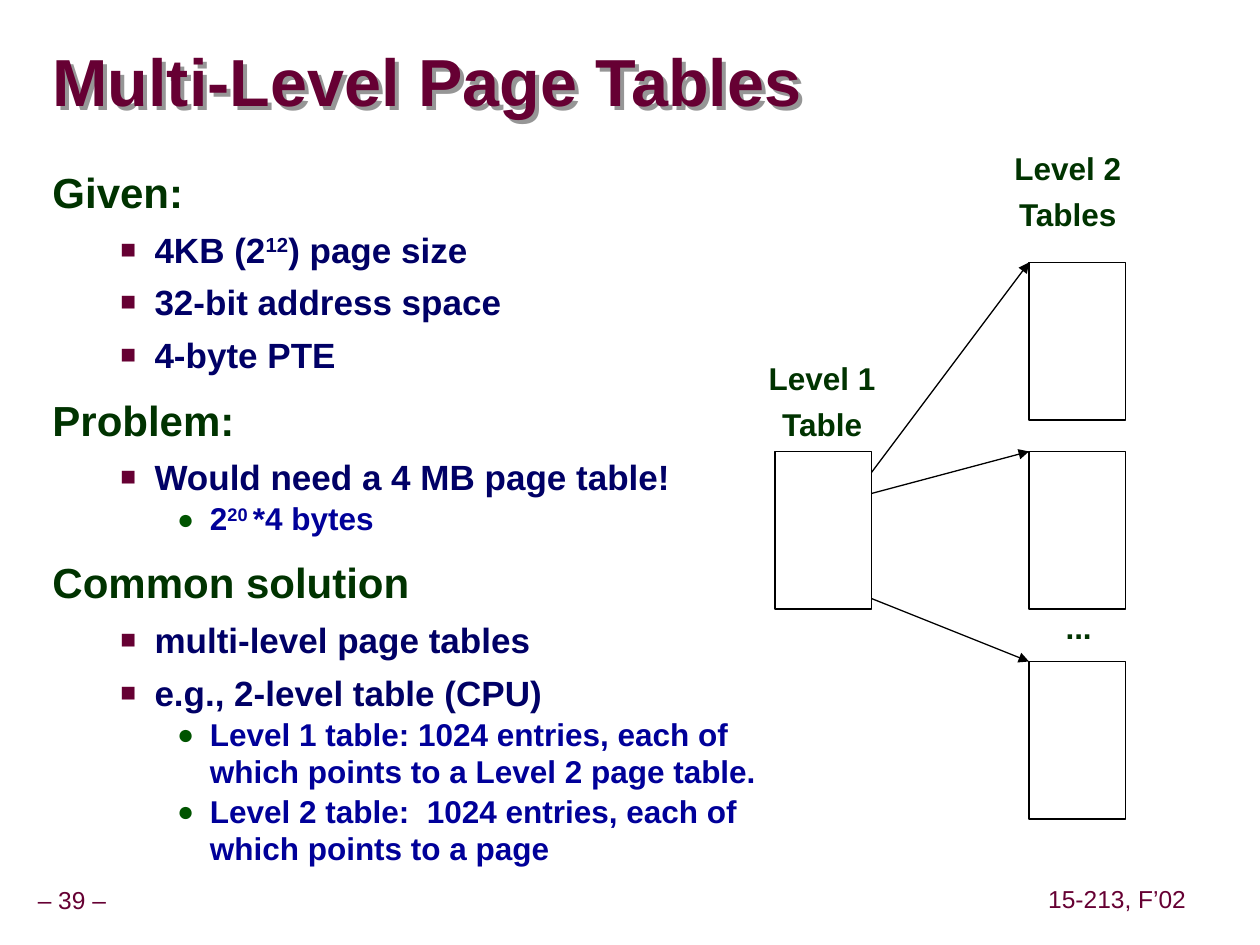
from dataclasses import dataclass
from typing import NamedTuple

from lxml.etree import SubElement
from pptx import Presentation
from pptx.dml.color import RGBColor
from pptx.enum.shapes import MSO_CONNECTOR, MSO_SHAPE
from pptx.enum.text import MSO_ANCHOR, MSO_AUTO_SIZE, PP_ALIGN
from pptx.oxml.ns import qn
from pptx.util import Emu, Inches, Pt

COLUMNS, ROWS = 120, 90
CELL = Inches(10) / COLUMNS  # square grid cells


@dataclass(frozen=True)
class Theme:
    font: str = "Arial"
    maroon: str = "660033"
    green: str = "003300"
    bullet_green: str = "005400"
    navy: str = "000066"
    blue: str = "000099"
    black: str = "000000"
    white: str = "FFFFFF"
    shadow: str = "969696"
    title_size: int = 38
    label_size: int = 18
    footer_size: int = 14
    line_width: float = 0.75
    shadow_distance: float = 3.2


THEME = Theme()


class Area(NamedTuple):
    column: float
    row: float
    columns: float
    rows: float


class Bullet(NamedTuple):
    mark: str
    color: str
    percent: int


class Level(NamedTuple):
    size: int
    color: str
    margin: float
    indent: float
    line_spacing: float
    space_before: float
    bullet: Bullet | None


class Label(NamedTuple):
    lines: tuple[str, ...]
    area: Area
    align: PP_ALIGN = PP_ALIGN.CENTER


LEVELS = (
    Level(24, THEME.green, 0.42, -0.42, 0.85, 15, None),
    Level(20, THEME.navy, 0.81, -0.27, 1, 6.2, Bullet("■", THEME.maroon, 75)),
    Level(18, THEME.blue, 1.25, -0.26, 0.97, 2.2, Bullet("●", THEME.bullet_green, 90)),
)

# Level and text of each line; every second piece between carets is raised
OUTLINE = (
    (0, "Given:"),
    (1, "4KB (2^12^) page size"),
    (1, "32-bit address space"),
    (1, "4-byte PTE"),
    (0, "Problem:"),
    (1, "Would need a 4 MB page table!"),
    (2, "2^20 ^*4 bytes"),
    (0, "Common solution"),
    (1, "multi-level page tables"),
    (1, "e.g., 2-level table (CPU)"),
    (2, "Level 1 table: 1024 entries, each of which points to a Level 2 page table."),
    (2, "Level 2 table:  1024 entries, each of which points to a page"),
)

TITLE_AREA = Area(5, 4.4, 90, 7.6)
BODY_AREA = Area(3.8, 16, 70.2, 68.5)
TABLE_COLUMNS, TABLE_ROWS = 9.2, 15
LEVEL_1_COLUMN, LEVEL_1_ROW = 73.8, 43
LEVEL_2_COLUMN = 98
LEVEL_2_ROWS = (25, 43, 63)
ENTRY_ROWS = (45, 47, 57)

LABELS = (
    Label(("Level 1", "Table"), Area(72, 34, 12.6, 8.8)),
    Label(("Level 2", "Tables"), Area(95.4, 14, 12.6, 8.8)),
    Label(("...",), Area(100.3, 57.7, 4.9, 4.4), PP_ALIGN.LEFT),
)
FOOTERS = (
    Label(("– 39 –",), Area(-1, 84, 15.7, 3.7)),
    Label(("15-213, F’02",), Area(99.2, 83.9, 14.4, 3.7)),
)


def grid(count: float) -> Emu:
    return Emu(round(count * CELL))


def place(box, area: Area) -> None:
    box.left, box.top, box.width, box.height = map(grid, area)


def style(font, size: float, color: str, bold: bool = True) -> None:
    font.name, font.size, font.bold = THEME.font, Pt(size), bold
    font.color.rgb = RGBColor.from_string(color)


def set_bullet(para, level: Level) -> None:
    """Set the indents and the bullet, ahead of any default run properties."""
    props = para._p.get_or_add_pPr()
    props.set("marL", str(Inches(level.margin)))
    props.set("indent", str(Inches(level.indent)))
    if level.bullet is None:
        SubElement(props, qn("a:buNone"))
        return
    color = SubElement(props, qn("a:buClr"))
    SubElement(color, qn("a:srgbClr"), val=level.bullet.color)
    SubElement(props, qn("a:buSzPct"), val=str(level.bullet.percent * 1000))
    SubElement(props, qn("a:buFont"), typeface=THEME.font)
    SubElement(props, qn("a:buChar"), char=level.bullet.mark)


def add_title(page, text: str) -> None:
    title = page.shapes.title
    place(title, TITLE_AREA)
    frame = title.text_frame
    frame.auto_size, frame.vertical_anchor = MSO_AUTO_SIZE.NONE, MSO_ANCHOR.MIDDLE
    frame.margin_left = frame.margin_right = frame.margin_top = frame.margin_bottom = 0
    para = frame.paragraphs[0]
    para.text, para.alignment, para.line_spacing = text, PP_ALIGN.LEFT, 0.87
    style(para.font, THEME.title_size, THEME.maroon)
    # A box without a fill casts the shadow of its text
    title.fill.background()
    effects = SubElement(title._element.spPr, qn("a:effectLst"))
    distance = str(Pt(THEME.shadow_distance))
    shadow = SubElement(effects, qn("a:outerShdw"), dist=distance, dir="2700000")
    SubElement(shadow, qn("a:srgbClr"), val=THEME.shadow)


def add_outline(page) -> None:
    body = page.placeholders[1]
    place(body, BODY_AREA)
    frame = body.text_frame
    frame.auto_size = MSO_AUTO_SIZE.NONE
    for index, (depth, text) in enumerate(OUTLINE):
        para = frame.add_paragraph() if index else frame.paragraphs[0]
        level = LEVELS[depth]
        para.level, para.alignment = depth, PP_ALIGN.LEFT
        para.line_spacing, para.space_before = level.line_spacing, Pt(level.space_before)
        set_bullet(para, level)
        style(para.font, level.size, level.color)
        for position, piece in enumerate(text.split("^")):
            span = para.add_run()
            span.text = piece
            if position % 2:
                span._r.get_or_add_rPr().set("baseline", "30000")


def add_label(page, label: Label, size: int, color: str, footer: bool = False) -> None:
    box = page.shapes.add_textbox(*map(grid, label.area))
    frame = box.text_frame
    frame.word_wrap = False
    if footer:
        frame.vertical_anchor = MSO_ANCHOR.MIDDLE
        frame.margin_left = frame.margin_right = Inches(0.05)
    for index, line in enumerate(label.lines):
        para = frame.add_paragraph() if index else frame.paragraphs[0]
        para.text, para.alignment, para.line_spacing = line, label.align, 0.9
        para.space_before = Pt(0 if footer else 6.8)
        style(para.font, size, color, bold=not footer)


def add_page_table(page, column: float, row: float) -> None:
    area = Area(column, row, TABLE_COLUMNS, TABLE_ROWS)
    box = page.shapes.add_shape(MSO_SHAPE.RECTANGLE, *map(grid, area))
    box.shadow.inherit = False
    box.fill.solid()
    box.fill.fore_color.rgb = RGBColor.from_string(THEME.white)
    box.line.color.rgb = RGBColor.from_string(THEME.black)
    box.line.width = Pt(THEME.line_width)


def add_pointer(page, from_row: float, to_row: float) -> None:
    ends = (LEVEL_1_COLUMN + TABLE_COLUMNS, from_row, LEVEL_2_COLUMN, to_row)
    arrow = page.shapes.add_connector(MSO_CONNECTOR.STRAIGHT, *map(grid, ends))
    arrow.line.color.rgb = RGBColor.from_string(THEME.black)
    arrow.line.width = Pt(THEME.line_width)
    SubElement(arrow.line._get_or_add_ln(), qn("a:tailEnd"), type="triangle")
    SubElement(arrow._element.spPr, qn("a:effectLst"))


def main() -> None:
    deck = Presentation()
    deck.slide_width, deck.slide_height = grid(COLUMNS), grid(ROWS)
    page = deck.slides.add_slide(deck.slide_layouts[1])

    # Text
    add_title(page, "Multi-Level Page Tables")
    add_outline(page)
    for footer in FOOTERS:
        add_label(page, footer, THEME.footer_size, THEME.maroon, footer=True)

    # Diagram
    add_page_table(page, LEVEL_1_COLUMN, LEVEL_1_ROW)
    for entry_row, table_row in zip(ENTRY_ROWS, LEVEL_2_ROWS):
        add_page_table(page, LEVEL_2_COLUMN, table_row)
        add_pointer(page, entry_row, table_row)
    for label in LABELS:
        add_label(page, label, THEME.label_size, THEME.green)

    deck.save("out.pptx")


if __name__ == "__main__":
    main()
